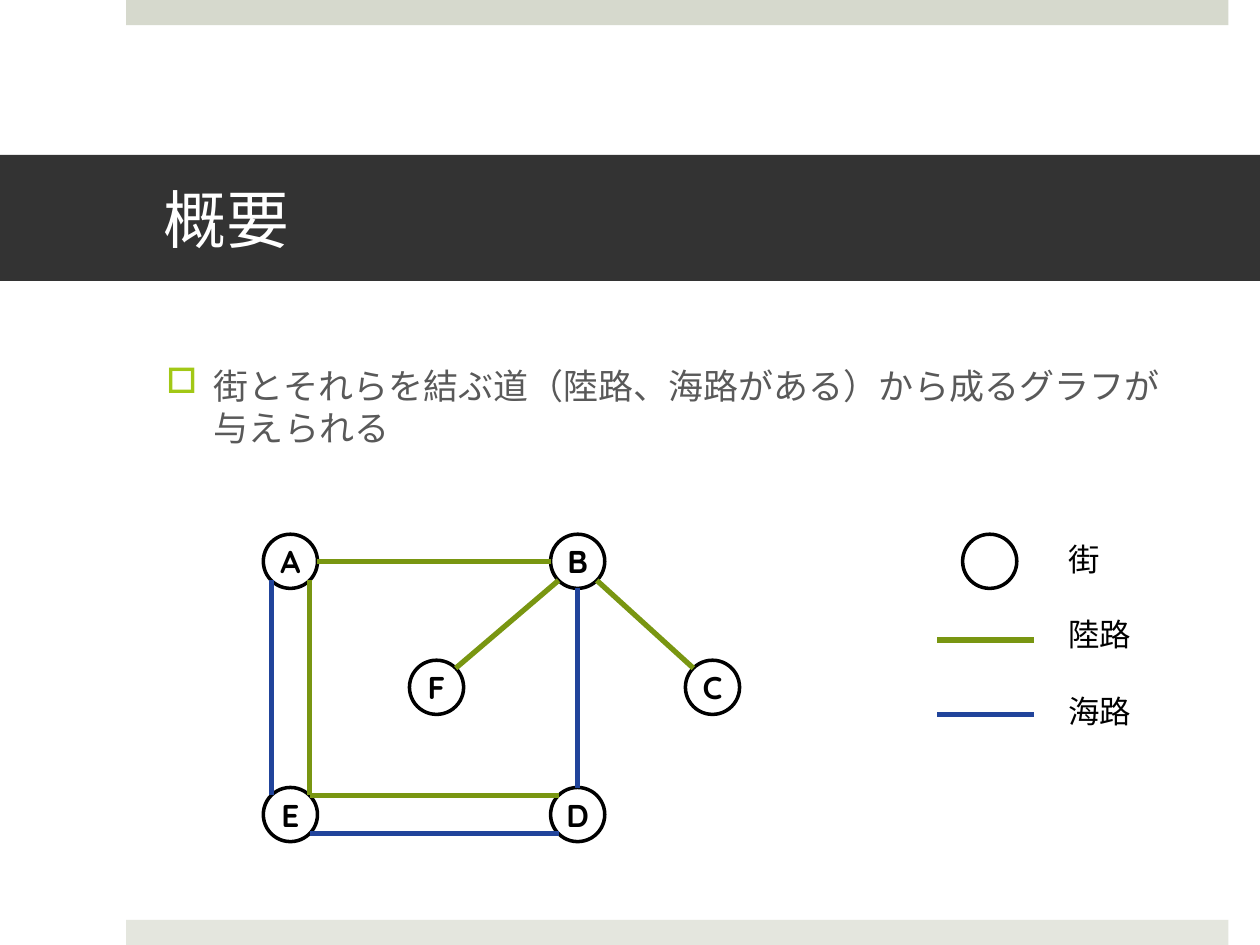
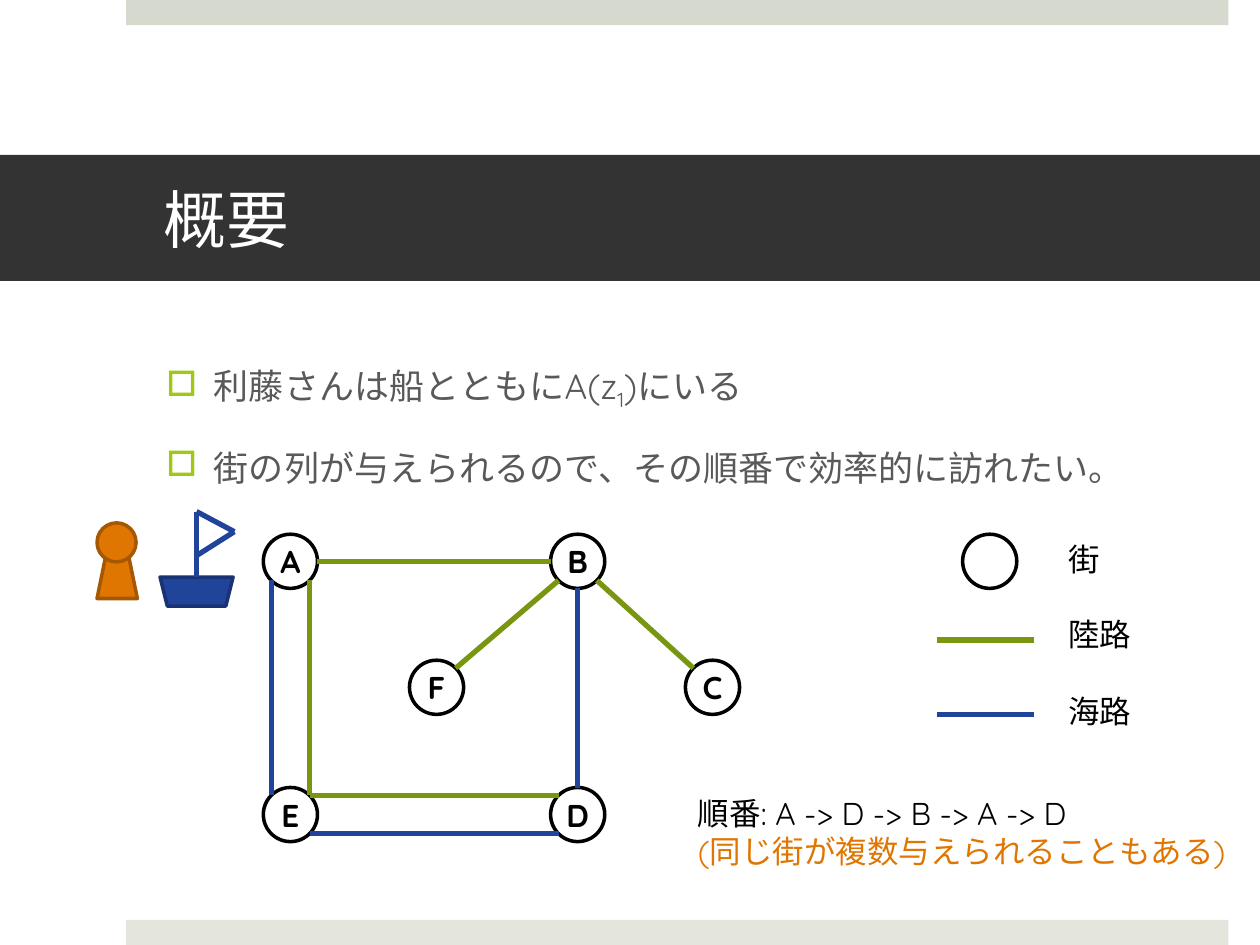
from dataclasses import dataclass
from math import sqrt

from lxml.etree import SubElement
from pptx import Presentation
from pptx.dml.color import RGBColor
from pptx.enum.shapes import MSO_CONNECTOR, MSO_SHAPE
from pptx.enum.text import MSO_ANCHOR, MSO_AUTO_SIZE, PP_ALIGN
from pptx.oxml.ns import qn
from pptx.util import Inches, Pt


@dataclass(frozen=True)
class Theme:
    font: str = "Quicksand"
    title_size: int = 36
    body_size: int = 20
    label_size: int = 18
    outline: int = 2
    route: int = 3
    white: str = "FFFFFF"
    black: str = "000000"
    title_band: str = "333333"
    top_band: str = "D6D9CD"
    bottom_band: str = "E4E6DE"
    body: str = "595959"
    bullet: str = "A2C816"
    land: str = "799611"
    sea: str = "21449B"
    sea_dark: str = "183273"
    person: str = "E07602"
    person_dark: str = "A65701"


THEME = Theme()
DIAMETER = 0.43
CITIES = {
    "A": (2.09, 4.24),
    "B": (4.37, 4.24),
    "C": (5.44, 5.24),
    "D": (4.37, 6.25),
    "E": (2.09, 6.25),
    "F": (3.25, 5.24),
}
ROUTES = [
    ("A", (1, 0), "B", (-1, 0), THEME.land),
    ("B", (1, 1), "C", (-1, -1), THEME.land),
    ("B", (-1, 1), "F", (1, -1), THEME.land),
    ("D", (-1, 1), "E", (1, 1), THEME.sea),
    ("B", (0, 1), "D", (0, -1), THEME.sea),
    ("D", (-1, -1), "E", (1, -1), THEME.land),
    ("A", (-1, 1), "E", (-1, -1), THEME.sea),
    ("E", (1, -1), "A", (1, 1), THEME.land),
]


def apply(target, values):
    for name, value in values.items():
        setattr(target, name, value)


def rim_point(city, direction):
    radius = DIAMETER / 2
    reach = radius / sqrt(sum(step * step for step in direction))
    return [corner + radius + step * reach
            for corner, step in zip(CITIES[city], direction)]


class SlideBuilder:
    def __init__(self, presentation):
        self.presentation = presentation
        self.slide = None
        self.shapes = None

    def start(self, title):
        self.slide = self.presentation.slides.add_slide(
            self.presentation.slide_layouts[6])
        self.shapes = self.slide.shapes
        self.shape(MSO_SHAPE.RECTANGLE, (1, 0, 8.75, 0.2), THEME.top_band)
        self.shape(MSO_SHAPE.RECTANGLE, (1, 7.3, 8.75, 0.2), THEME.bottom_band)
        band = self.shape(MSO_SHAPE.RECTANGLE, (0, 1.23, 10, 1), THEME.title_band)
        apply(band.text_frame, {
            "vertical_anchor": MSO_ANCHOR.MIDDLE,
            "margin_left": Inches(1.3),
            "margin_right": Inches(0.3),
        })
        paragraph = band.text_frame.paragraphs[0]
        paragraph.alignment = PP_ALIGN.LEFT
        self.run(paragraph, title, THEME.title_size, THEME.white)

    def begin_group(self):
        self.shapes = self.slide.shapes.add_group_shape().shapes

    def end_group(self):
        self.shapes = self.slide.shapes

    def shape(self, kind, box, fill, line=None):
        shape = self.shapes.add_shape(kind, *map(Inches, box))
        shape.shadow.inherit = False
        shape.fill.solid()
        shape.fill.fore_color.rgb = RGBColor.from_string(fill)
        if line:
            shape.line.color.rgb = RGBColor.from_string(line)
            shape.line.width = Pt(THEME.outline)
        else:
            shape.line.fill.background()
        return shape

    def line(self, start, end, color):
        connector = self.shapes.add_connector(
            MSO_CONNECTOR.STRAIGHT, *map(Inches, (*start, *end)))
        connector.line.color.rgb = RGBColor.from_string(color)
        connector.line.width = Pt(THEME.route)
        SubElement(connector._element.spPr, qn("a:effectLst"))

    def run(self, paragraph, text, size, color, bold=False):
        run = paragraph.add_run()
        run.text = text
        apply(run.font, {"name": THEME.font, "size": Pt(size), "bold": bold})
        run.font.color.rgb = RGBColor.from_string(color)
        return run

    def text(self, box, lines, wrap=False):
        frame = self.shapes.add_textbox(*map(Inches, box)).text_frame
        apply(frame, {"word_wrap": wrap,
                      "auto_size": MSO_AUTO_SIZE.SHAPE_TO_FIT_TEXT})
        for index, (text, color) in enumerate(lines):
            paragraph = frame.add_paragraph() if index else frame.paragraphs[0]
            self.run(paragraph, text, THEME.label_size, color)

    def bullets(self, items):
        frame = self.shapes.add_textbox(
            *map(Inches, (1.22, 2.84, 8.33, 1.11))).text_frame
        frame.word_wrap = True
        for index, parts in enumerate(items):
            paragraph = frame.add_paragraph() if index else frame.paragraphs[0]
            paragraph.space_before = Pt(20)
            properties = paragraph._p.get_or_add_pPr()
            properties.set("marL", str(Inches(0.38)))
            properties.set("indent", str(-Inches(0.38)))
            color = SubElement(properties, qn("a:buClr"))
            SubElement(color, qn("a:srgbClr"), val=THEME.bullet)
            SubElement(properties, qn("a:buChar"), char="□")
            for position, part in enumerate(parts):
                run = self.run(paragraph, part, THEME.body_size, THEME.body)
                if position % 2:
                    run._r.get_or_add_rPr().set("baseline", "-25000")

    def city(self, corner, name=""):
        circle = self.shape(MSO_SHAPE.OVAL, (*corner, DIAMETER, DIAMETER),
                            THEME.white, THEME.black)
        if name:
            apply(circle.text_frame, {"word_wrap": False,
                                      "vertical_anchor": MSO_ANCHOR.MIDDLE})
            paragraph = circle.text_frame.paragraphs[0]
            paragraph.alignment = PP_ALIGN.CENTER
            self.run(paragraph, name, THEME.label_size, THEME.black, bold=True)

    def legend(self):
        self.city((7.64, 4.24))
        self.line((7.44, 5.08), (8.21, 5.08), THEME.land)
        self.line((7.44, 5.67), (8.21, 5.67), THEME.sea)
        for top, width, label in [(4.24, 0.45, "街"), (4.83, 0.71, "陸路"),
                                  (5.44, 0.71, "海路")]:
            self.text((8.38, top, width, 0.4), [(label, THEME.black)])

    def town_map(self):
        self.begin_group()
        for name, corner in CITIES.items():
            self.city(corner, name)
        for start, start_side, end, end_side, color in ROUTES:
            self.line(rim_point(start, start_side), rim_point(end, end_side), color)
        self.end_group()

    def boat(self):
        self.begin_group()
        hull = self.shape(MSO_SHAPE.TRAPEZOID, (1.27, 4.58, 0.58, 0.23),
                          THEME.sea, THEME.sea_dark)
        hull.rotation = 180
        mast_top, flag_tip = (1.56, 4.06), (1.86, 4.22)
        for start, end in [(mast_top, (1.56, 4.58)), (mast_top, flag_tip),
                           ((1.56, 4.41), flag_tip)]:
            self.line(start, end, THEME.sea)
        self.end_group()

    def person(self):
        self.begin_group()
        for kind, box in [(MSO_SHAPE.TRAPEZOID, (0.77, 4.36, 0.32, 0.39)),
                          (MSO_SHAPE.OVAL, (0.77, 4.15, 0.31, 0.31))]:
            self.shape(kind, box, THEME.person, THEME.person_dark)
        self.end_group()


presentation = Presentation()
apply(presentation, {"slide_width": Inches(10), "slide_height": Inches(7.5)})
builder = SlideBuilder(presentation)

builder.start("概要")
builder.bullets([["街とそれらを結ぶ道（陸路、海路がある）から成るグラフが与えられる"]])
builder.legend()
builder.town_map()

builder.start("概要")
builder.bullets([
    ["利藤さんは船とともにA(z", "1", ")にいる"],
    ["街の列が与えられるので、その順番で効率的に訪れたい。"],
])
builder.legend()
builder.boat()
builder.person()
builder.text((5.44, 6.25, 4.56, 0.71), [
    ("順番: A -> D -> B -> A -> D", THEME.black),
    ("(同じ街が複数与えられることもある)", THEME.person),
], wrap=True)
builder.town_map()

presentation.save("out.pptx")
